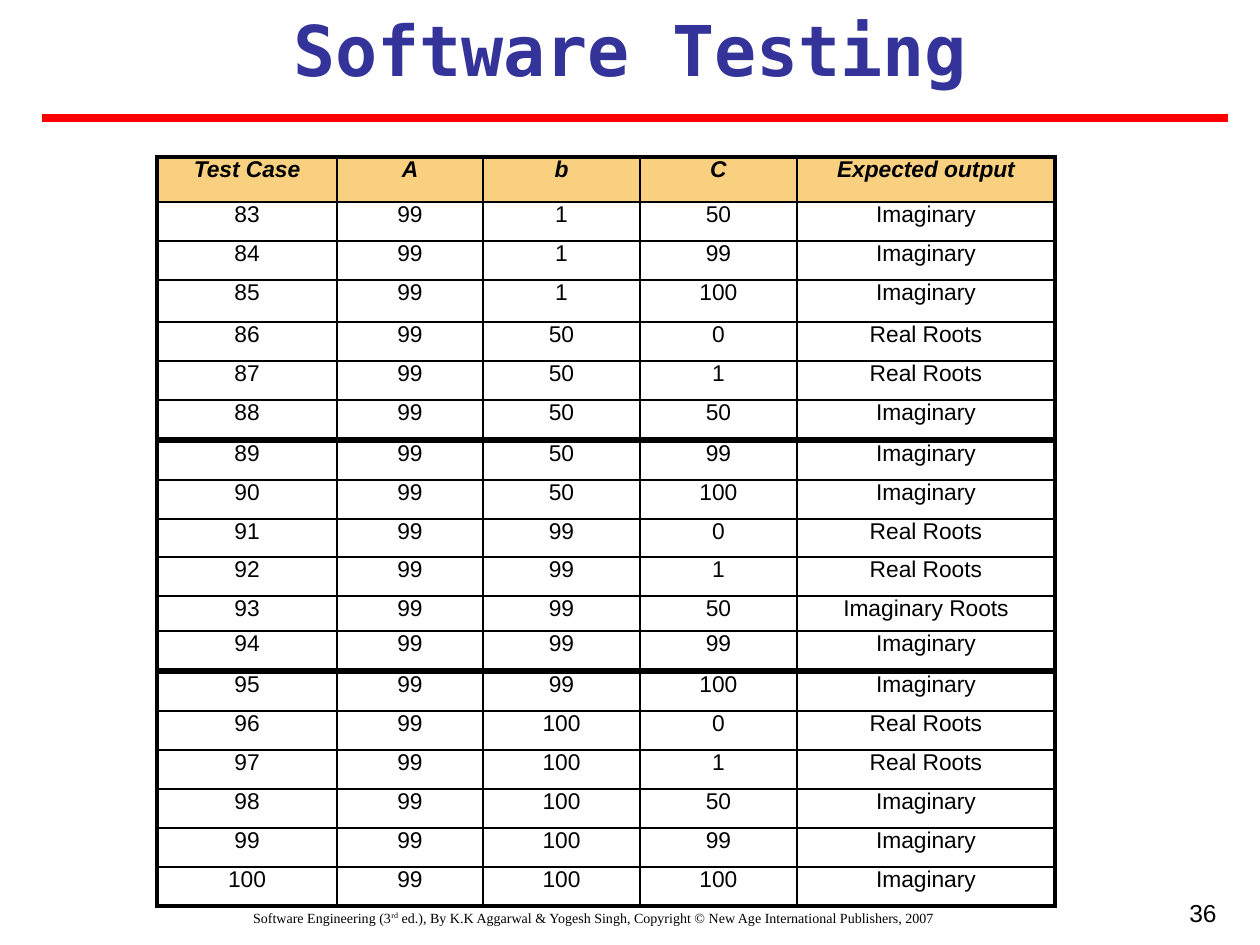
from itertools import product

from lxml import etree
from pptx import Presentation
from pptx.dml.color import RGBColor
from pptx.enum.shapes import MSO_CONNECTOR
from pptx.enum.text import MSO_ANCHOR, PP_ALIGN
from pptx.oxml.ns import qn
from pptx.util import Pt

PX = 914400 // 126
CENTER, RIGHT = PP_ALIGN.CENTER, PP_ALIGN.RIGHT
TOP, BOTTOM = MSO_ANCHOR.TOP, MSO_ANCHOR.BOTTOM
STRAIGHT = MSO_CONNECTOR.STRAIGHT

BLACK = RGBColor(0x00, 0x00, 0x00)
BLUE = RGBColor(0x33, 0x33, 0x99)
RED = RGBColor(0xFF, 0x00, 0x00)
GOLD = RGBColor(0xF8, 0xD0, 0x80)

TITLE = {"size": Pt(40), "name": "DejaVu Sans Mono", "bold": True}
NOTE = {"size": Pt(8), "name": "Times New Roman"}
PAGE = {"size": Pt(14), "name": "Arial"}
BODY = {"size": Pt(13), "name": "Arial", "bold": False, "italic": False}
HEAD = {**BODY, "bold": True, "italic": True}

THIN, THICK = 1, 2.25
COLS = [180, 146, 157, 157, 258]
LABELS = ["Test Case", "A", "b", "C", "Expected output"]
LEVELS = [0, 1, 50, 99, 100]
FIRST, SIDE, SKIP = 83, 99, 7
SPECIAL = {93: "Imaginary Roots"}
BLOCKS = [
    (157, [45, 39, 39, 42, 39, 39, 39]),
    (441, [39, 39, 38, 39, 35, 39]),
    (672, [39] * 6),
]


def scale(*box):
    return [n * PX for n in box]


def style(font, look, color=BLACK):
    for key, value in look.items():
        setattr(font, key, value)
    font.color.rgb = color


def write(frame, parts, look, align, color=BLACK):
    para = frame.paragraphs[0]
    para.alignment = align
    for text, raised in parts:
        run = para.add_run()
        run.text = text
        style(run.font, look, color)
        if raised:
            run._r.get_or_add_rPr().set("baseline", "30000")


def label(slide, box, parts, look, align):
    frame = slide.shapes.add_textbox(*scale(*box)).text_frame
    frame.word_wrap = True
    frame.vertical_anchor = TOP
    write(frame, parts, look, align)


def header(slide, box):
    x, y, w, h = box
    title = slide.shapes.title
    title.left, title.top, title.width, title.height = scale(x, y, w, h - 21)
    frame = title.text_frame
    frame.vertical_anchor = BOTTOM
    write(frame, [("Software Testing", False)], TITLE, CENTER, BLUE)
    rule = slide.shapes.add_connector(
        STRAIGHT, *scale(x, y + h, x + w + 10, y + h))
    rule.line.color.rgb = RED
    rule.line.width = Pt(4.5)
    etree.SubElement(rule._element.spPr, qn("a:effectLst"))


def footer(slide, box):
    x, y, w, h = box
    parts = [
        ("Software Engineering (3", False),
        ("rd", True),
        (" ed.), By K.K Aggarwal & Yogesh Singh, Copyright © "
         "New Age International Publishers, 2007", False),
    ]
    label(slide, (x, y + 11, w - 73, h - 32), parts, NOTE, CENTER)
    label(slide, (x + w - 294, y, 294, h), [("36", False)], PAGE, RIGHT)


def border(cell, widths):
    props = cell._tc.get_or_add_tcPr()
    for spot, (side, width) in enumerate(widths.items()):
        line = etree.Element(qn("a:ln" + side), w=str(Pt(width)))
        fill = etree.SubElement(line, qn("a:solidFill"))
        etree.SubElement(fill, qn("a:srgbClr"), val=str(BLACK))
        props.insert(spot, line)


def cases():
    pairs = list(product(LEVELS, repeat=2))[SKIP:]
    for case, (b, c) in enumerate(pairs, FIRST):
        real = b * b >= 4 * SIDE * c
        result = "Real Roots" if real else "Imaginary"
        yield [case, SIDE, b, c, SPECIAL.get(case, result)]


def grid(slide, box, rows, highs):
    shape = slide.shapes.add_table(len(rows), len(COLS), *scale(*box))
    table = shape.table
    table.first_row = rows[0] == LABELS
    table.horz_banding = False
    for col, wide in zip(table.columns, COLS):
        col.width = wide * PX
    for row, high in zip(table.rows, highs):
        row.height = high * PX
    for r, row in enumerate(rows):
        for c, value in enumerate(row):
            cell = table.cell(r, c)
            cell.margin_top = cell.margin_bottom = 0
            cell.vertical_anchor = TOP
            top = row is LABELS
            if top:
                cell.fill.solid()
                cell.fill.fore_color.rgb = GOLD
            else:
                cell.fill.background()
            write(cell.text_frame, [(str(value), False)],
                  HEAD if top else BODY, CENTER)
            edges = {"L": c == 0, "R": c == len(COLS) - 1,
                     "T": r == 0, "B": r == len(rows) - 1}
            border(cell, {k: THICK if v else THIN for k, v in edges.items()})


def main():
    deck = Presentation()
    deck.slide_width, deck.slide_height = scale(1260, 945)
    slide = deck.slides.add_slide(deck.slide_layouts[5])
    footer(slide, (32, 892, 1197, 74))
    header(slide, (42, 0, 1176, 118))
    rows = [LABELS, *cases()]
    for y, highs in BLOCKS:
        count = len(highs)
        grid(slide, (157, y, sum(COLS), sum(highs)), rows[:count], highs)
        rows = rows[count:]
    deck.save("out.pptx")


if __name__ == "__main__":
    main()
